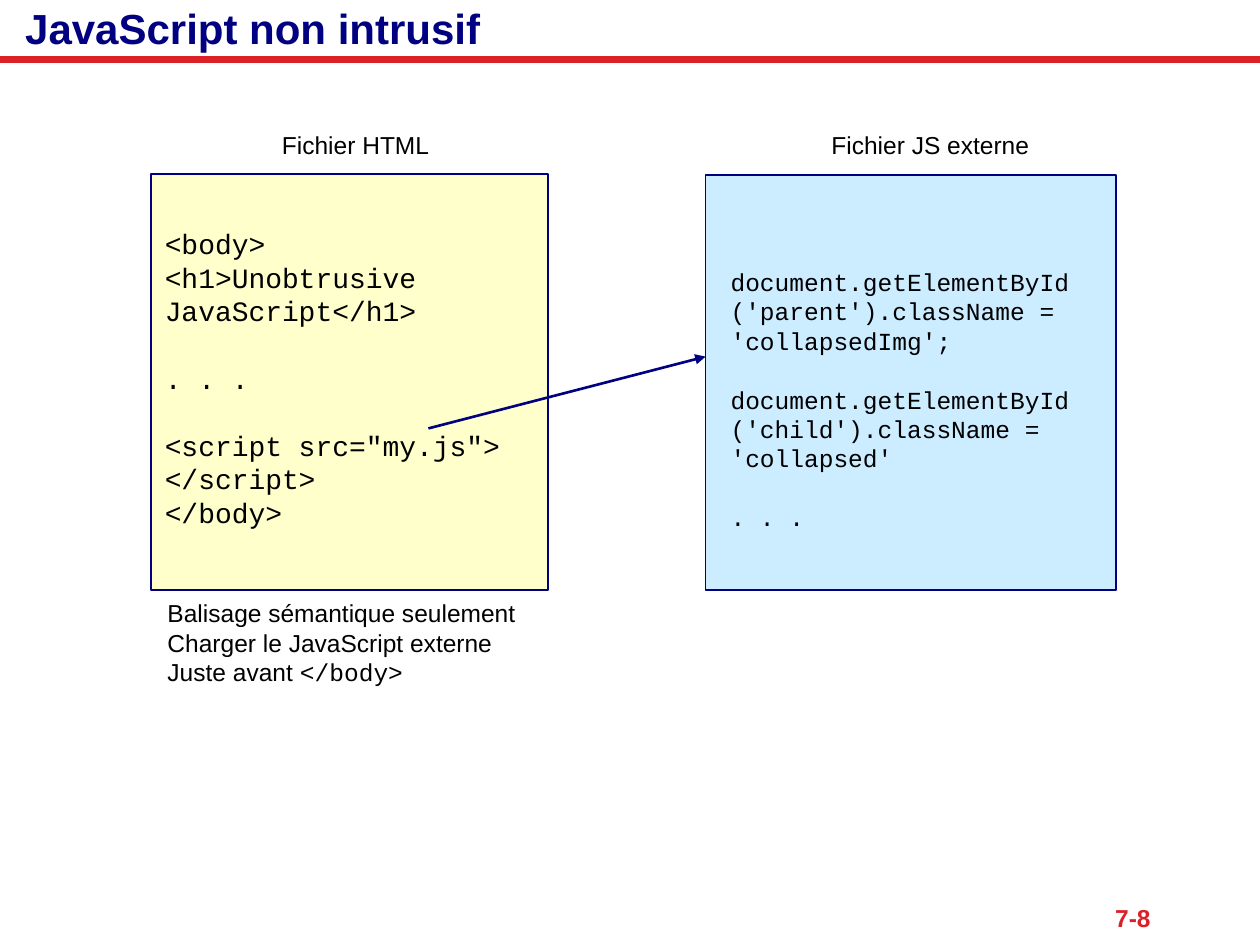
from dataclasses import dataclass

from lxml import etree
from pptx import Presentation
from pptx.dml.color import RGBColor
from pptx.enum.shapes import MSO_CONNECTOR, MSO_SHAPE
from pptx.enum.text import MSO_ANCHOR, MSO_AUTO_SIZE, PP_ALIGN
from pptx.oxml.ns import qn
from pptx.util import Pt

STRAIGHT = MSO_CONNECTOR.STRAIGHT
RECTANGLE = MSO_SHAPE.RECTANGLE
MIDDLE, TOP = MSO_ANCHOR.MIDDLE, MSO_ANCHOR.TOP
LEFT, RIGHT = PP_ALIGN.LEFT, PP_ALIGN.RIGHT
NO_AUTOFIT = MSO_AUTO_SIZE.NONE

COLORS = {
    "navy": "000080",
    "red": "DA2128",
    "black": "000000",
    "html": "FFFFCC",
    "script": "CCECFF",
}
SANS, MONO = "Arial", "Courier New"
LINE_PITCH = 1.2  # line height as a multiple of the font size


@dataclass
class Panel:
    left: float
    top: float
    width: float
    height: float
    fill: str


@dataclass
class TextBlock:
    """Paragraphs in one box; those listed in gaps follow one empty line."""
    left: float
    top: float
    width: float
    height: float
    lines: list[str]
    font: str = SANS
    size: float = 14
    color: str = "black"
    bold: bool = False
    wrap: bool = True
    gaps: tuple[int, ...] = ()
    align: PP_ALIGN = LEFT
    anchor: MSO_ANCHOR = TOP


@dataclass
class Line:
    start: tuple[float, float]
    end: tuple[float, float]
    color: str
    width: float
    arrow: bool = False


PANELS = [
    Panel(86.4, 99.4, 226.8, 237.6, "html"),
    Panel(403.2, 100, 234.7, 237, "script"),
]

HEADER_RULE = Line((0, 33.8), (720, 33.8), "red", 4)
SCRIPT_ARROW = Line((244.8, 244.8), (403.2, 203.8), "navy", 1.5, arrow=True)

PAGE_NUMBER = TextBlock(565.2, 512, 99.4, 24.5, ["7-8"], color="red", bold=True,
                        align=RIGHT, anchor=MIDDLE)
LABELS = [
    TextBlock(154, 70.6, 101.5, 24.5, ["Fichier HTML"]),
    TextBlock(468, 70.6, 128.2, 24.5, ["Fichier JS externe"], wrap=False),
]
HTML_CODE = TextBlock(
    87.1, 126, 208.8, 181.4,
    ["<body>", "<h1>Unobtrusive", "JavaScript</h1>", ". . .",
     '<script src="my.js">', "</script>", "</body>"],
    font=MONO, size=16, wrap=False, gaps=(3, 4))
SCRIPT_CODE = TextBlock(
    410.4, 149, 216, 159.8,
    ["document.getElementById('parent').className = 'collapsedImg';",
     "document.getElementById('child').className = 'collapsed'", ". . ."],
    font=MONO, gaps=(1, 2))
ADVICE = TextBlock(
    88.6, 338.4, 222.5, 58.3,
    ["Balisage sémantique seulement", "Charger le JavaScript externe", "Juste avant "])


def rgb(name: str) -> RGBColor:
    return RGBColor.from_string(COLORS[name])


def set_font(font, name: str, size: float, color: str, bold: bool) -> None:
    font.name, font.size, font.bold = name, Pt(size), bold
    font.color.rgb = rgb(color)


def add_panel(slide, panel: Panel) -> None:
    shape = slide.shapes.add_shape(RECTANGLE, Pt(panel.left), Pt(panel.top),
                                   Pt(panel.width), Pt(panel.height))
    shape.shadow.inherit = False
    shape.fill.solid()
    shape.fill.fore_color.rgb = rgb(panel.fill)
    shape.line.color.rgb = rgb("navy")
    shape.line.width = Pt(1)


def add_text(slide, block: TextBlock):
    shape = slide.shapes.add_textbox(Pt(block.left), Pt(block.top),
                                     Pt(block.width), Pt(block.height))
    frame = shape.text_frame
    frame.word_wrap = block.wrap
    frame.vertical_anchor = block.anchor
    frame.text = "\n".join(block.lines)
    pitch = Pt(block.size * LINE_PITCH)
    for index, paragraph in enumerate(frame.paragraphs):
        paragraph.alignment = block.align
        paragraph.line_spacing = pitch
        if index in block.gaps:
            paragraph.space_before = pitch
        set_font(paragraph.font, block.font, block.size, block.color, block.bold)
    return shape


def add_line(slide, line: Line) -> None:
    connector = slide.shapes.add_connector(
        STRAIGHT, *(Pt(value) for value in line.start + line.end))
    connector.line.color.rgb = rgb(line.color)
    connector.line.width = Pt(line.width)
    if line.arrow:
        outline = connector.line._get_or_add_ln()
        etree.SubElement(outline, qn("a:tailEnd"), type="triangle")
    properties = connector._element.spPr
    etree.SubElement(properties, qn("a:effectLst"))


def set_title(slide, text: str) -> None:
    title = slide.shapes.title
    title.left, title.top, title.width, title.height = Pt(0), Pt(0), Pt(720), Pt(31.7)
    frame = title.text_frame
    frame.auto_size = NO_AUTOFIT
    frame.vertical_anchor = MIDDLE
    frame.margin_left, frame.margin_right = Pt(14.4), Pt(7.2)
    frame.margin_top = frame.margin_bottom = Pt(0)
    frame.text = text
    paragraph = frame.paragraphs[0]
    paragraph.alignment = LEFT
    set_font(paragraph.font, SANS, 24, "navy", True)


def main() -> None:
    presentation = Presentation()
    presentation.slide_width, presentation.slide_height = Pt(720), Pt(540)
    slide = presentation.slides.add_slide(presentation.slide_layouts[5])

    set_title(slide, "JavaScript non intrusif")
    add_line(slide, HEADER_RULE)
    add_text(slide, PAGE_NUMBER)
    for panel in PANELS:
        add_panel(slide, panel)
    for block in [*LABELS, HTML_CODE, SCRIPT_CODE]:
        add_text(slide, block)
    advice = add_text(slide, ADVICE)
    closing_tag = advice.text_frame.paragraphs[-1].add_run()
    closing_tag.text = "</body>"
    closing_tag.font.name = MONO
    add_line(slide, SCRIPT_ARROW)

    presentation.save("out.pptx")


if __name__ == "__main__":
    main()
